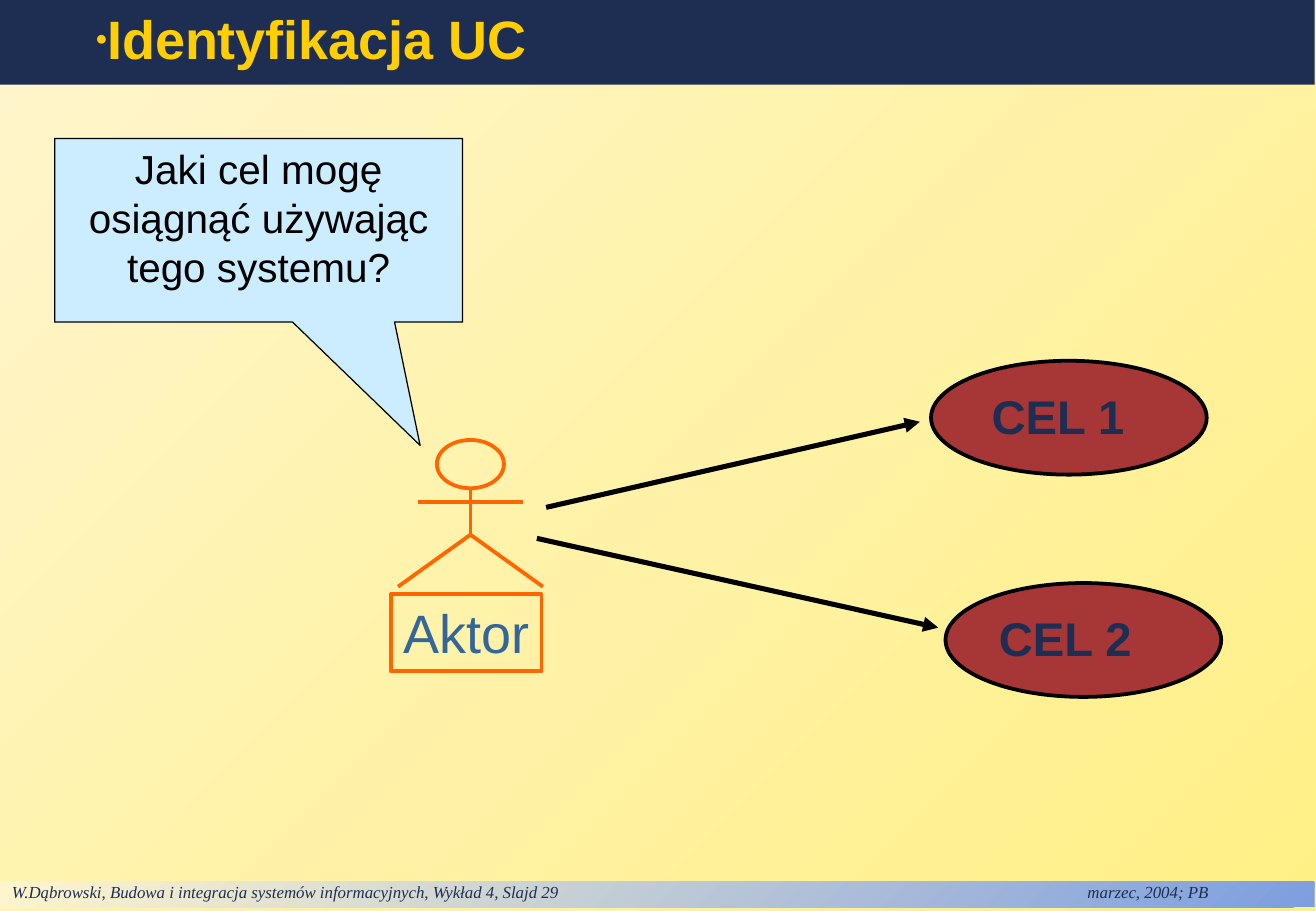
from lxml.etree import SubElement
from pptx import Presentation
from pptx.dml.color import RGBColor
from pptx.enum.shapes import MSO_CONNECTOR, MSO_SHAPE as Kind
from pptx.enum.text import MSO_ANCHOR as Anchor, MSO_AUTO_SIZE as AutoSize, PP_ALIGN as Align
from pptx.oxml.ns import qn
from pptx.util import Inches, Pt

NAVY, ORANGE, RED, BLACK = "1E2E53", "FF6600", "A73737", "000000"
rgb = RGBColor.from_string

deck = Presentation()
deck.slide_width, deck.slide_height = Inches(10.84), Inches(7.5)
slide = deck.slides.add_slide(deck.slide_layouts[5])
shapes = slide.shapes


def grid(*shares):
    """Turn alternating x, y percentages of the slide into lengths."""
    sides = (deck.slide_width, deck.slide_height)
    return [round(sides[i % 2] * share / 100) for i, share in enumerate(shares)]


def write(paragraph, text, size, color, font="Arial", bold=False, italic=False):
    run = paragraph.add_run()
    run.text = text
    run.font.name, run.font.size = font, Pt(size)
    run.font.bold, run.font.italic = bold, italic
    run.font.color.rgb = rgb(color)


# Footer bar
footer = shapes.add_shape(Kind.RECTANGLE, *grid(0, 96.8, 99.9, 2.8))
footer.shadow.inherit = False
footer.line.fill.background()
footer_frame = footer.text_frame
footer_frame.vertical_anchor = Anchor.TOP
footer_frame.margin_top, footer_frame.margin_bottom = 0, Inches(0.04)
footer_line = footer_frame.paragraphs[0]
footer_line.alignment = Align.LEFT
tabs = SubElement(footer_line._p.get_or_add_pPr(), qn("a:tabLst"))
SubElement(tabs, qn("a:tab"), pos=str(Inches(8.86)), algn="l")
for part in ("W.Dąbrowski, Budowa i integracja systemów informacyjnych, Wykład 4, Slajd 29",
             "\tmarzec, 2004; PB"):
    write(footer_line, part, 10, NAVY, font="Times New Roman", italic=True)

# Gradients of the background and the footer
for fill, start, end in ((slide.background.fill, "FFF085", "FFF5CD"),
                         (footer.fill, "7D9EDF", "FFF5CD")):
    fill.gradient()
    fill.gradient_angle = 135
    for stop, color in zip(fill.gradient_stops, (start, end)):
        stop.color.rgb = rgb(color)

# Title bar
title = shapes.title
title.left, title.top, title.width, title.height = grid(0, 0, 99.9, 9.3)
title.fill.solid()
title.fill.fore_color.rgb = rgb(NAVY)
title.text_frame.auto_size = AutoSize.NONE
title.text_frame.vertical_anchor = Anchor.MIDDLE
heading = title.text_frame.paragraphs[0]
heading.alignment, heading.line_spacing = Align.LEFT, 0.9
heading_props = heading._p.get_or_add_pPr()
heading_props.set("marL", str(Inches(0.29)))
heading_props.set("indent", str(Inches(0.4)))
SubElement(SubElement(heading_props, qn("a:buClr")), qn("a:srgbClr"), val="FFCF01")
SubElement(heading_props, qn("a:buSzPct"), val="60000")
SubElement(heading_props, qn("a:buFont"), typeface="Arial")
SubElement(heading_props, qn("a:buChar"), char="•")
write(heading, "Identyfikacja UC", 32, "FFCF01", bold=True)

# Actor: a stick figure around one vertical axis
axis, hip, feet = 35.75, 58.7, 64.4
actor = shapes.add_group_shape().shapes
head = actor.add_shape(Kind.OVAL, *grid(axis - 2.55, 48.3, 5.1, 5.3))
left_foot, hips, right_foot = (grid(*point) for point in
                               ((axis - 5.5, feet), (axis, hip), (axis + 5.5, feet)))
leg_builder = actor.build_freeform(*left_foot)
leg_builder.add_line_segments([hips, right_foot], close=False)
legs = leg_builder.convert_to_shape()
actor_name = shapes.add_shape(Kind.RECTANGLE, *grid(29.7, 65.2, 11.45, 8.5))

# Goals
goals = [shapes.add_shape(Kind.OVAL, *grid(left, top, 20.95, 12.5))
         for left, top in ((70.75, 39.6), (71.85, 64))]
for text, left, top in (("CEL 1", 74.25, 41.7), ("CEL 2", 74.8, 66.1)):
    goal_frame = shapes.add_textbox(*grid(left, top, 12.35, 7.9)).text_frame
    goal_frame.word_wrap = False
    goal_frame.margin_left = goal_frame.margin_right = Inches(0.12)
    goal_frame.margin_top = goal_frame.margin_bottom = Inches(0.06)
    write(goal_frame.paragraphs[0], text, 28, NAVY, bold=True)

# Body and arms of the actor, arrows to the goals
for parent, ends, color, weight, arrow in (
        (actor, (axis, 53.6, axis, hip), ORANGE, 2.25, False),
        (actor, (axis - 4, 55.1, axis + 4, 55.1), ORANGE, 2.25, False),
        (shapes, (41.5, 55.7, 69.9, 46.3), BLACK, 3, True),
        (shapes, (40.8, 59.1, 71.3, 68.9), BLACK, 3, True)):
    stroke = parent.add_connector(MSO_CONNECTOR.STRAIGHT, *grid(*ends))
    stroke.line.color.rgb = rgb(color)
    stroke.line.width = Pt(weight)
    stroke_props = stroke._element.spPr
    if arrow:
        SubElement(stroke_props.find(qn("a:ln")), qn("a:tailEnd"), type="triangle")
    SubElement(stroke_props, qn("a:effectLst"))

# Question in a speech bubble
question = shapes.add_shape(Kind.RECTANGULAR_CALLOUT, *grid(4.15, 15.2, 31, 20.15))
question.adjustments[0], question.adjustments[1] = 0.396, 1.172

# Fill and outline of the drawn shapes
for shape, fill, outline, weight in (
        (head, None, ORANGE, 2.25), (legs, None, ORANGE, 2.25),
        (actor_name, None, ORANGE, 2.25), (question, "CCECFF", BLACK, 0.75),
        *((goal, RED, BLACK, 2.25) for goal in goals)):
    shape.shadow.inherit = False
    shape.line.color.rgb = rgb(outline)
    shape.line.width = Pt(weight)
    if fill:
        shape.fill.solid()
        shape.fill.fore_color.rgb = rgb(fill)
    else:
        shape.fill.background()

# Centred texts of the actor and the question
for shape, text, size, color, wrap in (
        (actor_name, "Aktor", 32, "336699", False),
        (question, "Jaki cel mogę osiągnąć używając tego systemu?", 24, BLACK, True)):
    frame = shape.text_frame
    frame.word_wrap, frame.vertical_anchor = wrap, Anchor.TOP
    frame.paragraphs[0].alignment = Align.CENTER
    write(frame.paragraphs[0], text, size, color)

deck.save("out.pptx")
